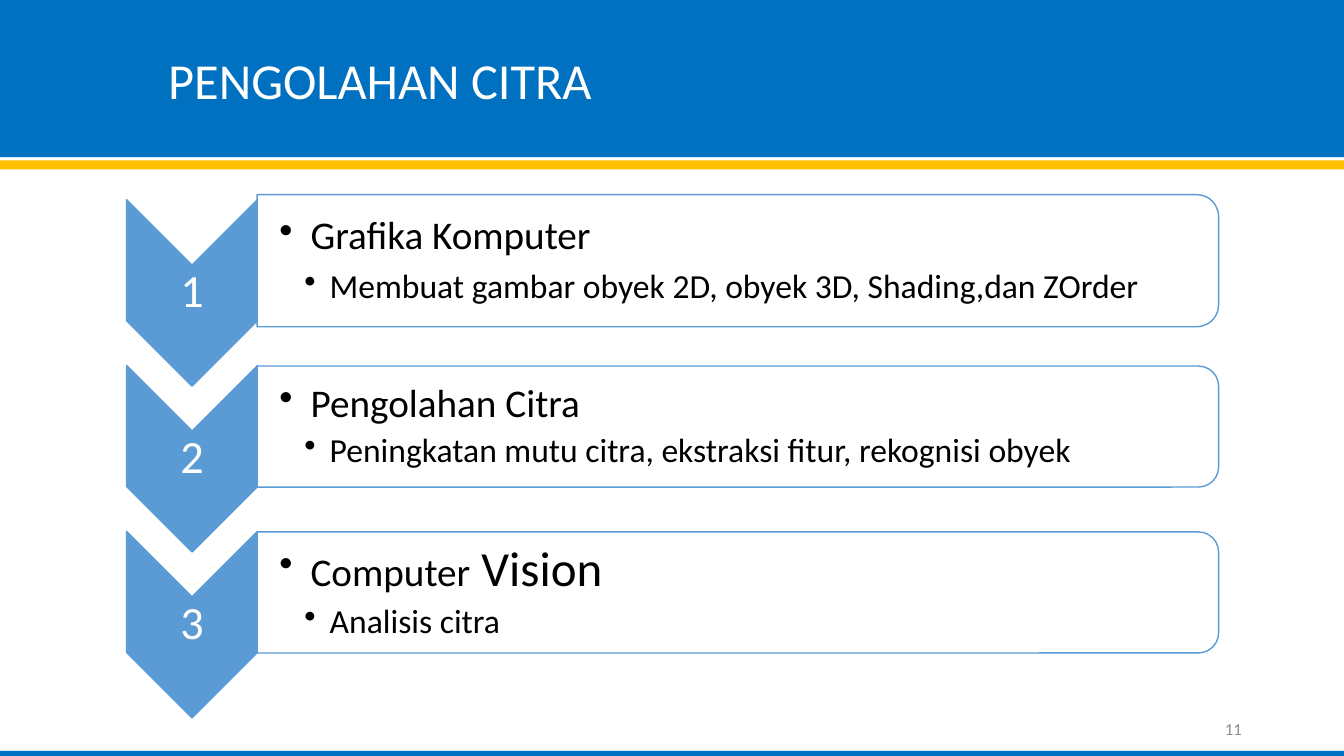
from dataclasses import dataclass

from lxml.etree import SubElement
from pptx import Presentation
from pptx.dml.color import RGBColor
from pptx.enum.shapes import MSO_SHAPE
from pptx.enum.text import MSO_ANCHOR, PP_ALIGN
from pptx.oxml.ns import qn
from pptx.shapes.autoshape import Shape
from pptx.slide import Slide
from pptx.text.text import _Paragraph as Paragraph
from pptx.util import Cm, Pt


@dataclass(frozen=True)
class Theme:
    font: str = "Calibri"
    blue: RGBColor = RGBColor(0x00, 0x70, 0xC0)
    gold: RGBColor = RGBColor(0xFF, 0xC0, 0x00)
    accent: RGBColor = RGBColor(0x5B, 0x9B, 0xD5)
    white: RGBColor = RGBColor(0xFF, 0xFF, 0xFF)
    black: RGBColor = RGBColor(0x00, 0x00, 0x00)
    grey: RGBColor = RGBColor(0x8C, 0x8C, 0x8C)
    title: float = 36
    emphasis: float = 35
    number: float = 33
    heading: float = 28
    detail: float = 24
    footer: float = 12


@dataclass(frozen=True)
class Span:
    text: str
    size: float


@dataclass(frozen=True)
class Band:
    top: float
    height: float
    color: RGBColor


@dataclass(frozen=True)
class Topic:
    heading: tuple[Span, ...]
    detail: str
    panel_height: float = 3.05
    detail_spacing: float = 0.9


THEME = Theme()
PAGE_WIDTH, PAGE_HEIGHT = 33.87, 19.05
CHEVRON_X, FIRST_CHEVRON_Y, ROW_PITCH = 4.84, 7.38, 4.18
CHEVRON_LENGTH, CHEVRON_WIDTH = 4.7, 3.3
PANEL_LEFT, PANEL_WIDTH, PANEL_RISE = 6.48, 24.23, 0.81
SMALL_INSET = 0.05

BANDS = (
    Band(0, 3.96, THEME.blue),
    Band(4.04, 0.23, THEME.gold),
    Band(18.92, 0.13, THEME.blue),
)
TOPICS = (
    Topic((Span("Grafika Komputer", THEME.heading),),
          "Membuat gambar obyek 2D, obyek 3D, Shading,dan ZOrder", 3.33, 1.0),
    Topic((Span("Pengolahan Citra", THEME.heading),),
          "Peningkatan mutu citra, ekstraksi fitur, rekognisi obyek"),
    Topic((Span("Computer", THEME.heading), Span(" Vision", THEME.emphasis)),
          "Analisis citra"),
)


def add_filled(page: Slide, kind: MSO_SHAPE, left: float, top: float,
               width: float, height: float, fill: RGBColor) -> Shape:
    shape = page.shapes.add_shape(kind, Cm(left), Cm(top), Cm(width), Cm(height))
    shape.shadow.inherit = False
    shape.fill.solid()
    shape.fill.fore_color.rgb = fill
    shape.line.fill.background()
    return shape


def add_turned(page: Slide, kind: MSO_SHAPE, center_x: float, center_y: float,
               length: float, breadth: float, fill: RGBColor) -> Shape:
    """Add an outlined shape turned a quarter clockwise about its centre."""
    shape = add_filled(page, kind, center_x - length / 2, center_y - breadth / 2,
                       length, breadth, fill)
    shape.rotation = 90
    shape.line.color.rgb = THEME.accent
    shape.line.width = Pt(1)
    return shape


def add_box(page: Slide, left: float, top: float, width: float, height: float,
            side_inset: float = 0.25, inset: float = 0.13) -> Shape:
    box = page.shapes.add_textbox(Cm(left), Cm(top), Cm(width), Cm(height))
    frame = box.text_frame
    frame.word_wrap = True
    frame.vertical_anchor = MSO_ANCHOR.MIDDLE
    frame.margin_left = Cm(side_inset)
    frame.margin_right = frame.margin_top = frame.margin_bottom = Cm(inset)
    return box


def add_spans(para: Paragraph, spans: tuple[Span, ...], color: RGBColor) -> None:
    for span in spans:
        run = para.add_run()
        run.text = span.text
        run.font.name = THEME.font
        run.font.size = Pt(span.size)
        run.font.color.rgb = color


def set_bullet(para: Paragraph, level: int, indent: float, hanging: float) -> None:
    para.level = level
    properties = para._p.get_or_add_pPr()
    properties.set("marL", str(Cm(indent)))
    properties.set("indent", str(-Cm(hanging)))
    SubElement(properties, qn("a:buChar"), char="•")
    para.space_after = Pt(5)


def add_line(page: Slide, left: float, top: float, width: float, height: float,
             span: Span, color: RGBColor, align: PP_ALIGN,
             side_inset: float = 0.25, spacing: float = 0.9) -> None:
    """Add a box that holds a single line of text."""
    box = add_box(page, left, top, width, height, side_inset,
                  min(side_inset, 0.13) if align == PP_ALIGN.CENTER else 0.25)
    para = box.text_frame.paragraphs[0]
    para.alignment = align
    para.line_spacing = spacing
    add_spans(para, (span,), color)


def add_topic(page: Slide, number: int, topic: Topic) -> None:
    center_y = FIRST_CHEVRON_Y + (number - 1) * ROW_PITCH
    add_turned(page, MSO_SHAPE.CHEVRON, CHEVRON_X, center_y,
               CHEVRON_LENGTH, CHEVRON_WIDTH, THEME.accent)
    add_line(page, CHEVRON_X - CHEVRON_WIDTH / 2, center_y - 0.71, CHEVRON_WIDTH, 1.42,
             Span(str(number), THEME.number), THEME.white, PP_ALIGN.CENTER, SMALL_INSET)

    panel_y = center_y - PANEL_RISE
    panel = add_turned(page, MSO_SHAPE.ROUND_2_SAME_RECTANGLE,
                       PANEL_LEFT + PANEL_WIDTH / 2, panel_y,
                       topic.panel_height, PANEL_WIDTH, THEME.white)
    fill_color = panel._element.spPr.find(qn("a:solidFill"))[0]
    SubElement(fill_color, qn("a:alpha"), val="90000")

    text_height = topic.panel_height - 0.3
    box = add_box(page, PANEL_LEFT, panel_y - text_height / 2, PANEL_WIDTH - 0.15,
                  text_height, 0.56, SMALL_INSET)
    heading = box.text_frame.paragraphs[0]
    set_bullet(heading, 1, 0.79, 0.79)
    heading.line_spacing = 0.9
    add_spans(heading, topic.heading, THEME.black)
    detail = box.text_frame.add_paragraph()
    set_bullet(detail, 2, 1.27, 0.64)
    detail.line_spacing = topic.detail_spacing
    add_spans(detail, (Span(topic.detail, THEME.detail),), THEME.black)


def main() -> None:
    deck = Presentation()
    deck.slide_width, deck.slide_height = Cm(PAGE_WIDTH), Cm(PAGE_HEIGHT)
    page = deck.slides.add_slide(deck.slide_layouts[6])
    for band in BANDS:
        add_filled(page, MSO_SHAPE.RECTANGLE, 0, band.top, PAGE_WIDTH, band.height, band.color)
    add_line(page, 3.99, 0.46, 28.63, 3.25, Span("PENGOLAHAN CITRA", THEME.title),
             THEME.white, PP_ALIGN.LEFT)
    for number, topic in enumerate(TOPICS, start=1):
        add_topic(page, number, topic)
    add_line(page, 23.93, 17.86, 7.62, 1.02, Span("11", THEME.footer),
             THEME.grey, PP_ALIGN.RIGHT, spacing=1.0)
    deck.save("out.pptx")


if __name__ == "__main__":
    main()
